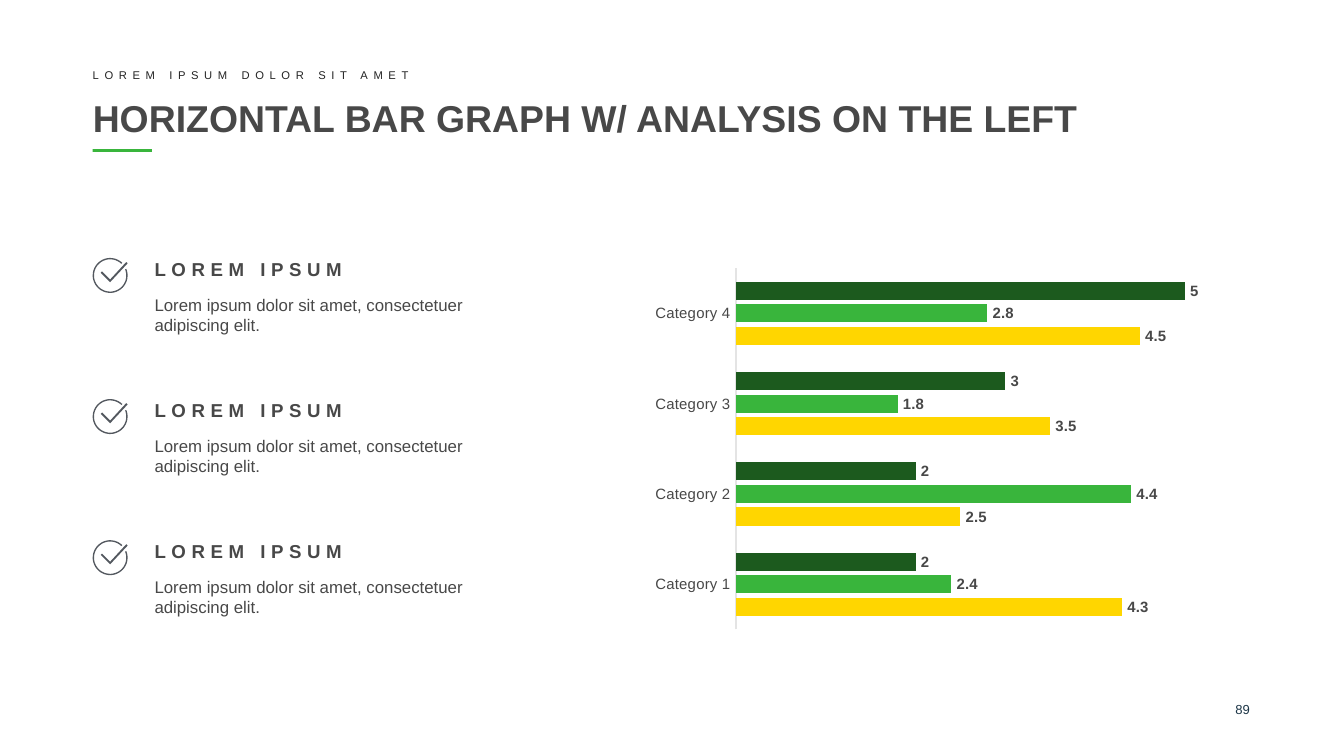
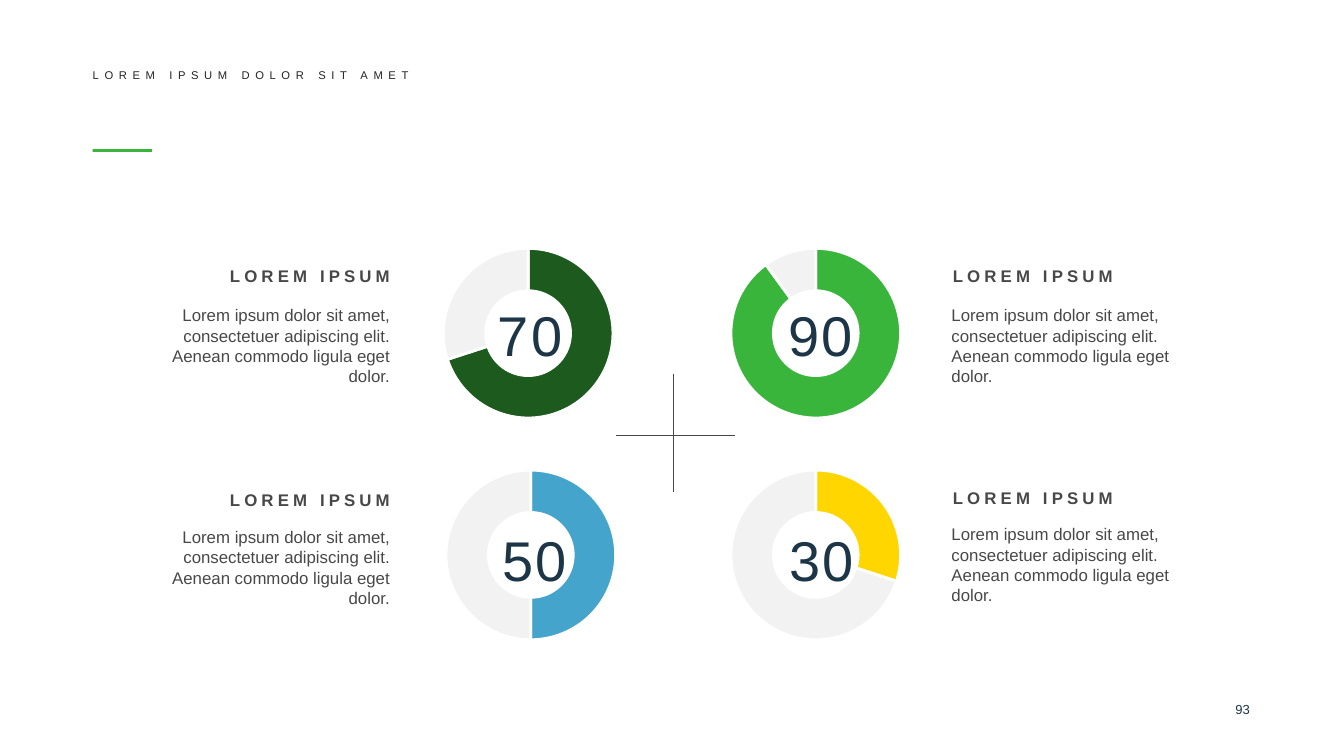
import dataclasses
import math

import lxml.etree
import pptx
import pptx.chart.chart
import pptx.chart.data
import pptx.dml.color
import pptx.dml.fill
import pptx.enum.chart
import pptx.enum.shapes
import pptx.enum.text
import pptx.oxml
import pptx.oxml.ns
import pptx.presentation
import pptx.slide
import pptx.text.text
import pptx.util

Inches = pptx.util.Inches
Pt = pptx.util.Pt
Align = pptx.enum.text.PP_ALIGN
Anchor = pptx.enum.text.MSO_ANCHOR
qn = pptx.oxml.ns.qn

FONT = "Arial"
COLORS = {
    "text": "484848",
    "eyebrow": "242424",
    "navy": "1D3647",
    "icon": "53585F",
    "axis": "E4E4E4",
    "track": "F2F2F2",
    "white": "FFFFFF",
    "green": "39B53C",
    "forest": "1C5A1E",
    "yellow": "FFD600",
    "blue": "45A4CC",
}
MARGIN = 0.69
SHORT_COPY = "Lorem ipsum dolor sit amet, consectetuer adipiscing elit."
LONG_COPY = SHORT_COPY + " Aenean commodo ligula eget dolor."


@dataclasses.dataclass(frozen=True)
class Box:
    left: float
    top: float
    width: float
    height: float

    def lengths(self) -> list[pptx.util.Length]:
        return [Inches(v) for v in (self.left, self.top, self.width, self.height)]


@dataclasses.dataclass(frozen=True)
class TextStyle:
    size: float
    color: str = "text"
    bold: bool = False
    spacing: float = 0
    align: Align = Align.LEFT
    anchor: Anchor = Anchor.TOP
    wrap: bool = True
    grow: bool = True
    inset: bool = False


@dataclasses.dataclass(frozen=True)
class BarSeries:
    name: str
    values: tuple[float, ...]
    color: str


@dataclasses.dataclass(frozen=True)
class Side:
    heading_left: float
    body_left: float
    body_width: float
    align: Align


@dataclasses.dataclass(frozen=True)
class Gauge:
    percent: int
    color: str
    side: Side
    ring_left: float
    ring_top: float
    number_left: float
    number_top: float
    heading_top: float
    body_top: float


EYEBROW = TextStyle(6, "eyebrow", spacing=3, anchor=Anchor.MIDDLE)
TITLE = TextStyle(20, bold=True, anchor=Anchor.MIDDLE, grow=False)
PAGE_NUMBER = TextStyle(7, "navy", align=Align.RIGHT, grow=False)
POINT_HEADING = TextStyle(10, bold=True, spacing=3, wrap=False)
GAUGE_HEADING = TextStyle(9, bold=True, spacing=2.2, wrap=False)
BODY = TextStyle(9)
GAUGE_NUMBER = TextStyle(30, "navy", spacing=1.1, align=Align.CENTER, inset=True)

BAR_CATEGORIES = [f"Category {number}" for number in range(1, 5)]
BAR_SERIES = (
    BarSeries("Series 1", (4.3, 2.5, 3.5, 4.5), "yellow"),
    BarSeries("Series 2", (2.4, 4.4, 1.8, 2.8), "green"),
    BarSeries("Series 3", (2, 2, 3, 5), "forest"),
)

LEFT_SIDE = Side(1.66, 1.24, 1.66, Align.RIGHT)
RIGHT_SIDE = Side(7.09, 7.08, 1.8, Align.LEFT)
GAUGES = (
    Gauge(70, "forest", LEFT_SIDE, 3, 1.71, 3.36, 2.19, 1.98, 2.27),
    Gauge(90, "green", RIGHT_SIDE, 5.14, 1.71, 5.52, 2.19, 1.98, 2.27),
    Gauge(50, "blue", LEFT_SIDE, 3.02, 3.36, 3.39, 3.86, 3.64, 3.92),
    Gauge(30, "yellow", RIGHT_SIDE, 5.14, 3.36, 5.53, 3.86, 3.63, 3.9),
)


def rgb(name: str) -> pptx.dml.color.RGBColor:
    return pptx.dml.color.RGBColor.from_string(COLORS[name])


def paint(fill: pptx.dml.fill.FillFormat, color: str) -> None:
    fill.solid()
    fill.fore_color.rgb = rgb(color)


def set_font(font: pptx.text.text.Font, size: float, color: str = "text", bold: bool = False) -> None:
    font.name = FONT
    font.size = Pt(size)
    font.bold = bold
    font.color.rgb = rgb(color)


def add_text(slide: pptx.slide.Slide, box: Box, text: str, style: TextStyle) -> None:
    frame = slide.shapes.add_textbox(*box.lengths()).text_frame
    frame.text = text
    frame.word_wrap = style.wrap
    frame.vertical_anchor = style.anchor
    sizing = pptx.enum.text.MSO_AUTO_SIZE
    frame.auto_size = sizing.SHAPE_TO_FIT_TEXT if style.grow else sizing.NONE
    if not style.inset:
        frame.margin_left = frame.margin_right = 0
        frame.margin_top = frame.margin_bottom = 0
    paragraph = frame.paragraphs[0]
    paragraph.alignment = style.align
    for run in paragraph.runs:
        set_font(run.font, style.size, style.color, style.bold)
        if style.spacing:
            run._r.get_or_add_rPr().set("spc", str(round(style.spacing * 100)))


def add_base_slide(deck: pptx.presentation.Presentation, page: int) -> pptx.slide.Slide:
    slide = deck.slides.add_slide(deck.slide_layouts[6])
    paint(slide.background.fill, "white")
    accent = slide.shapes.add_shape(
        pptx.enum.shapes.MSO_SHAPE.RECTANGLE, *Box(MARGIN, 1.11, 0.44, 0.02).lengths()
    )
    accent.shadow.inherit = False
    paint(accent.fill, "green")
    accent.line.fill.background()
    add_text(slide, Box(8.87, 5.22, 0.43, 0.16), str(page), PAGE_NUMBER)
    add_text(slide, Box(MARGIN, 0.51, 7.17, 0.1), "LOREM IPSUM DOLOR SIT AMET", EYEBROW)
    return slide


def add_check_icon(slide: pptx.slide.Slide, left: float, top: float) -> None:
    center = 0.13
    sweep = [math.radians(angle) for angle in range(-22, 317, 6)]
    ring = [
        (center + radius * math.cos(angle), center + radius * math.sin(angle))
        for radius, angles in ((0.13, sweep), (0.12, sweep[::-1]))
        for angle in angles
    ]
    tick = [(0.06, 0.11), (0.07, 0.1), (0.13, 0.16), (0.25, 0.03), (0.26, 0.04), (0.13, 0.18)]
    contours = [[(Inches(left + x), Inches(top + y)) for x, y in part] for part in (ring, tick)]
    builder = slide.shapes.build_freeform(*contours[0][0])
    builder.add_line_segments(contours[0][1:], close=True)
    builder.move_to(*contours[1][0])
    builder.add_line_segments(contours[1][1:], close=True)
    icon = builder.convert_to_shape()
    icon.shadow.inherit = False
    paint(icon.fill, "icon")
    icon.line.fill.background()


def add_chart(
    slide: pptx.slide.Slide,
    kind: pptx.enum.chart.XL_CHART_TYPE,
    box: Box,
    data: pptx.chart.data.CategoryChartData,
) -> pptx.chart.chart.Chart:
    chart = slide.shapes.add_chart(kind, *box.lengths(), data).chart
    chart.has_title = False
    chart.has_legend = False
    set_font(chart.font, 10)
    return chart


def add_bar_chart(slide: pptx.slide.Slide) -> None:
    data = pptx.chart.data.CategoryChartData()
    data.categories = BAR_CATEGORIES
    for series in BAR_SERIES:
        data.add_series(series.name, series.values)
    kind = pptx.enum.chart.XL_CHART_TYPE.BAR_CLUSTERED
    chart = add_chart(slide, kind, Box(4.78, 1.94, 4.8, 2.8), data)
    chart.value_axis.visible = False
    chart.value_axis.has_major_gridlines = False
    chart.value_axis.minimum_scale = 0
    chart.value_axis.maximum_scale = 6
    axis = chart.category_axis
    axis.major_tick_mark = axis.minor_tick_mark = pptx.enum.chart.XL_TICK_MARK.NONE
    set_font(axis.tick_labels.font, 8)
    axis.format.line.color.rgb = rgb("axis")
    axis.format.line.width = Pt(0.75)
    plot = chart.plots[0]
    plot.vary_by_categories = False
    plot.gap_width = 150
    plot.overlap = -25
    for series, bars in zip(BAR_SERIES, plot.series):
        paint(bars.format.fill, series.color)
        labels = bars.data_labels
        labels.show_value = True
        labels.position = pptx.enum.chart.XL_LABEL_POSITION.OUTSIDE_END
        set_font(labels.font, 8, bold=True)


def center_ring(chart: pptx.chart.chart.Chart, width: float, height: float) -> None:
    area = chart._chartSpace.find(f".//{qn('c:plotArea')}")
    for layout in area.findall(qn("c:layout")):
        area.remove(layout)
    layout = pptx.oxml.parse_xml(f"<c:layout {pptx.oxml.ns.nsdecls('c')}><c:manualLayout/></c:layout>")
    settings = {
        "layoutTarget": "inner",
        "xMode": "edge",
        "yMode": "edge",
        "x": (1 - width) / 2,
        "y": (1 - height) / 2,
        "w": width,
        "h": height,
    }
    for tag, value in settings.items():
        lxml.etree.SubElement(layout[0], qn(f"c:{tag}")).set("val", str(value))
    area.insert(0, layout)
    area.find(f".//{qn('c:holeSize')}").set("val", "85")


def add_gauge(slide: pptx.slide.Slide, gauge: Gauge) -> None:
    data = pptx.chart.data.CategoryChartData()
    data.categories = ["1", "2"]
    data.add_series("Series 1", (gauge.percent, 100 - gauge.percent))
    kind = pptx.enum.chart.XL_CHART_TYPE.DOUGHNUT
    chart = add_chart(slide, kind, Box(gauge.ring_left, gauge.ring_top, 1.86, 1.54), data)
    center_ring(chart, 0.68, 0.82)
    chart.plots[0].vary_by_categories = True
    for index, color in enumerate((gauge.color, "track")):
        segment = chart.plots[0].series[0].points[index].format
        paint(segment.fill, color)
        segment.line.color.rgb = rgb("white")
        segment.line.width = Pt(1.5)
    number_box = Box(gauge.number_left, gauge.number_top, 1.17, 0.61)
    add_text(slide, number_box, str(gauge.percent), GAUGE_NUMBER)
    side = gauge.side
    heading = dataclasses.replace(GAUGE_HEADING, align=side.align)
    add_text(slide, Box(side.heading_left, gauge.heading_top, 1.24, 0.15), "LOREM IPSUM", heading)
    body = dataclasses.replace(BODY, align=side.align)
    add_text(slide, Box(side.body_left, gauge.body_top, side.body_width, 0.61), LONG_COPY, body)


def add_rule(slide: pptx.slide.Slide, start: tuple[float, float], end: tuple[float, float]) -> None:
    rule = slide.shapes.add_connector(
        pptx.enum.shapes.MSO_CONNECTOR.STRAIGHT, *[Inches(v) for v in start + end]
    )
    rule.line.color.rgb = rgb("text")
    rule.line.width = Pt(0.5)
    lxml.etree.SubElement(rule._element.spPr, qn("a:effectLst"))


def build_bar_slide(deck: pptx.presentation.Presentation) -> None:
    slide = add_base_slide(deck, 89)
    title = "HORIZONTAL BAR GRAPH W/ ANALYSIS ON THE LEFT"
    add_text(slide, Box(MARGIN, 0.69, 8.62, 0.37), title, TITLE)
    add_bar_chart(slide)
    for row in range(3):
        top = 1.92 + 1.05 * row
        add_check_icon(slide, MARGIN, top)
        add_text(slide, Box(1.15, top, 1.45, 0.17), "LOREM IPSUM", POINT_HEADING)
        add_text(slide, Box(1.15, top + 0.27, 2.5, 0.3), SHORT_COPY, BODY)


def build_gauge_slide(deck: pptx.presentation.Presentation) -> None:
    slide = add_base_slide(deck, 93)
    for gauge in GAUGES:
        add_gauge(slide, gauge)
    add_rule(slide, (5.01, 2.78), (5.01, 3.66))
    add_rule(slide, (5.47, 3.24), (4.58, 3.24))


def main() -> None:
    deck = pptx.Presentation()
    deck.slide_width = Inches(10)
    deck.slide_height = Inches(10 * 9 / 16)
    build_bar_slide(deck)
    build_gauge_slide(deck)
    deck.save("out.pptx")


if __name__ == "__main__":
    main()
